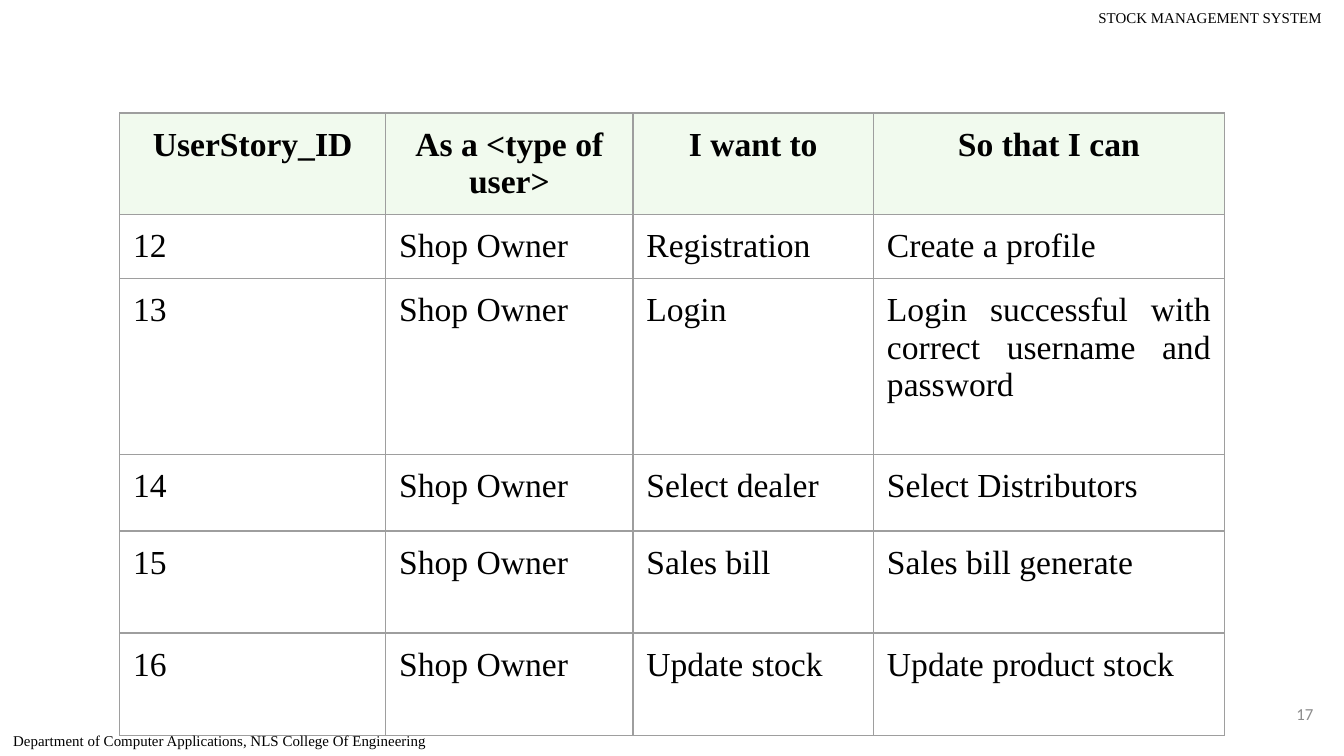
from dataclasses import dataclass
from lxml.etree import SubElement
from pptx import Presentation
from pptx.dml.color import RGBColor
from pptx.enum.text import MSO_ANCHOR, PP_ALIGN
from pptx.oxml.ns import qn
from pptx.util import Inches, Pt


@dataclass(frozen=True)
class Theme:
    serif: str = "Times New Roman"
    sans: str = "Calibri"
    ink: str = "000000"
    gray: str = "8C8C8C"
    rule: str = "9E9E9E"
    mint: str = "F1FAEE"
    body: float = 18
    note: float = 8
    page: float = 9
    line: float = 0.75
    pad: float = 0.1


def write(frame, text, *, size, font, color, bold=False, align=PP_ALIGN.LEFT):
    """Put one formatted paragraph in a text frame."""
    para = frame.paragraphs[0]
    para.alignment = align
    run = para.add_run()
    run.text = text
    run.font.name = font
    run.font.size = Pt(size)
    run.font.bold = bold
    run.font.color.rgb = RGBColor.from_string(color)


class Builder:
    def __init__(self, slide, theme):
        self.slide = slide
        self.theme = theme

    def pad(self, item):
        """Give a cell or text frame equal margins."""
        gap = Inches(self.theme.pad)
        item.margin_left = item.margin_right = gap
        item.margin_top = item.margin_bottom = gap

    def label(self, text, box, anchor=MSO_ANCHOR.TOP, **style):
        frame = self.slide.shapes.add_textbox(*map(Inches, box)).text_frame
        frame.word_wrap = True
        frame.vertical_anchor = anchor
        self.pad(frame)
        write(frame, text, **style)

    def border(self, cell):
        props = cell._tc.get_or_add_tcPr()
        for side in ("a:lnL", "a:lnR", "a:lnT", "a:lnB"):
            line = SubElement(props, qn(side), w=str(Pt(self.theme.line)))
            fill = SubElement(line, qn("a:solidFill"))
            SubElement(fill, qn("a:srgbClr"), val=self.theme.rule)

    def cell(self, cell, text, head, align):
        look = self.theme
        self.pad(cell)
        self.border(cell)
        if head:
            cell.fill.solid()
            cell.fill.fore_color.rgb = RGBColor.from_string(look.mint)
        else:
            cell.fill.background()
        write(cell.text_frame, text, size=look.body, font=look.serif,
              color=look.ink, bold=head, align=align)

    def table(self, rows, left, top, widths, heights):
        box = map(Inches, (left, top, sum(widths), sum(heights)))
        grid = self.slide.shapes.add_table(len(rows), len(widths), *box).table
        grid.first_row = grid.horz_banding = False
        for col, width in zip(grid.columns, widths):
            col.width = Inches(width)
        for row, height in zip(grid.rows, heights):
            row.height = Inches(height)
        # Header is centred; the last column is justified
        last = len(widths) - 1
        for r, row in enumerate(rows):
            for c, text in enumerate(row):
                align = (PP_ALIGN.CENTER if r == 0 else
                         PP_ALIGN.JUSTIFY if c == last else PP_ALIGN.LEFT)
                self.cell(grid.cell(r, c), text, r == 0, align)


HEAD = ("UserStory_ID", "As a <type of user>", "I want to", "So that I can")
TASKS = (
    ("Registration", "Create a profile"),
    ("Login", "Login successful with correct username and password"),
    ("Select dealer", "Select Distributors"),
    ("Sales bill", "Sales bill generate"),
    ("Update stock", "Update product stock"),
)


def main():
    deck = Presentation()
    # Wide screen, 16:9
    deck.slide_width = Inches(10)
    deck.slide_height = deck.slide_width * 9 // 16
    look = Theme()
    page = Builder(deck.slides.add_slide(deck.slide_layouts[6]), look)

    # User stories, numbered from 12
    rows = [HEAD] + [(str(num), "Shop Owner", *task)
                     for num, task in enumerate(TASKS, 12)]
    page.table(rows, 0.89, 0.84, (1.98, 1.84, 1.79, 2.61),
               (0.59, 0.42, 1.31, 0.57, 0.76, 0.76))

    # Footer and running head
    note = dict(size=look.note, font=look.serif, color=look.ink)
    page.label("Department of Computer Applications, NLS College Of Engineering",
               (0, 5.38, 4.76, 0.47), **note)
    page.label("STOCK MANAGEMENT SYSTEM", (6.66, 0, 4.69, 0.34),
               align=PP_ALIGN.CENTER, **note)

    # Page number
    page.label("17", (9.27, 5.1, 0.6, 0.43), MSO_ANCHOR.MIDDLE, size=look.page,
               font=look.sans, color=look.gray, align=PP_ALIGN.RIGHT)

    deck.save("out.pptx")


if __name__ == "__main__":
    main()
